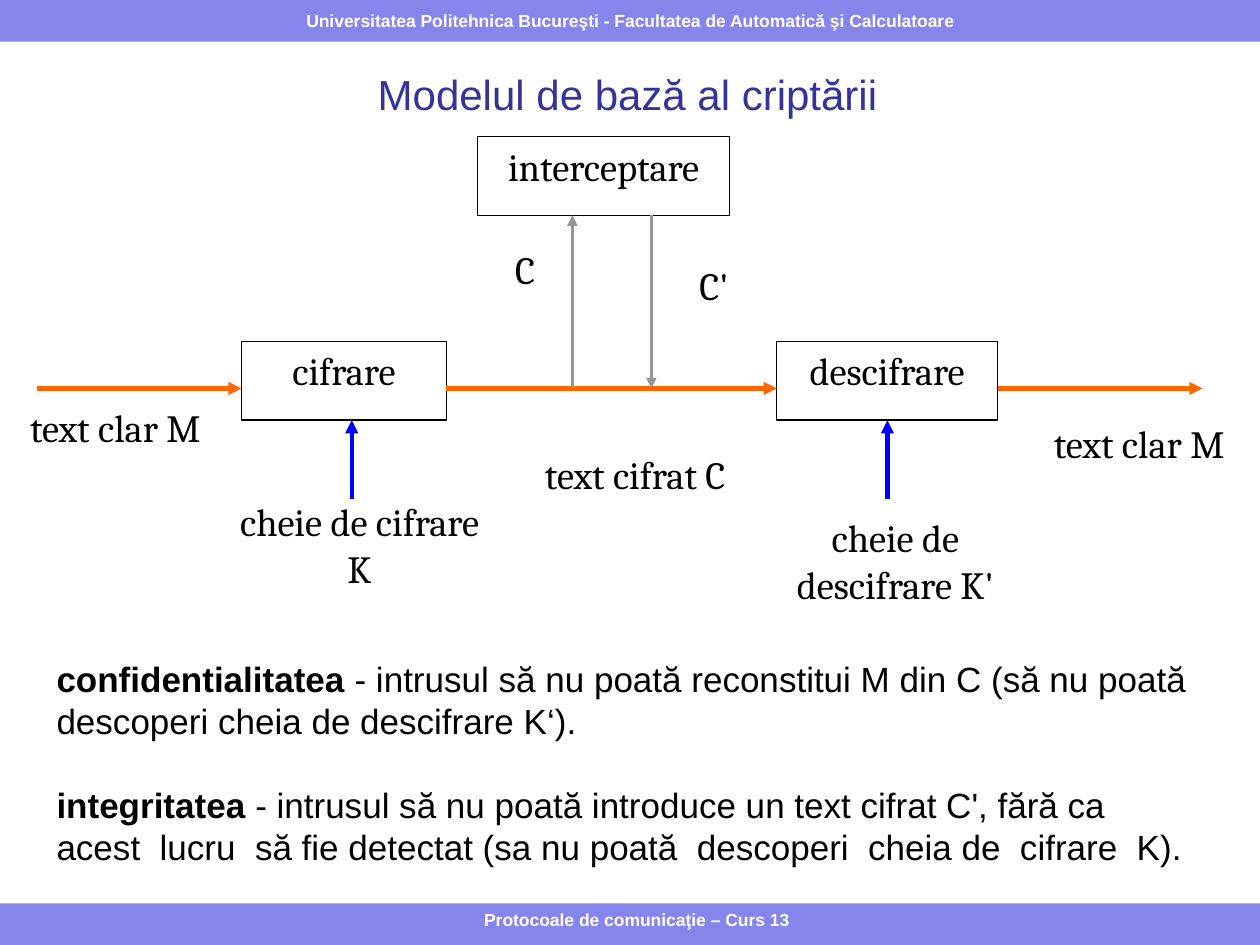
"""Build the slide on the basic model of encryption."""
from typing import NamedTuple

from lxml import etree
from pptx import Presentation
from pptx.dml.color import RGBColor
from pptx.enum.shapes import MSO_CONNECTOR, MSO_SHAPE
from pptx.enum.text import MSO_ANCHOR, PP_ALIGN
from pptx.oxml.ns import qn
from pptx.util import Cm, Pt

RECT = MSO_SHAPE.RECTANGLE
LINE = MSO_CONNECTOR.STRAIGHT
LEFT, CENTER = PP_ALIGN.LEFT, PP_ALIGN.CENTER
TOP, MIDDLE = MSO_ANCHOR.TOP, MSO_ANCHOR.MIDDLE
BLACK, WHITE, BAND = "000000", "FFFFFF", "8585EB"
ORANGE, GREY, BLUE = "FF6600", "969696", "0000FF"
WIDE, HIGH, BAR = 25.4, 19.05, 0.84
FLOW, BASE, KEY = 7.83, 8.47, 10.05


class Box(NamedTuple):
    text: str
    x: float
    y: float
    w: float
    h: float
    edge: str = WHITE
    pad: float = 0


class Arrow(NamedTuple):
    x1: float
    y1: float
    x2: float
    y2: float
    tint: str
    width: float = 2.5


class Style(NamedTuple):
    font: str
    size: float
    tint: str


HEAD = Style("Arial", 24, "333399")
NOTE = Style("Arial", 10, WHITE)
BODY = Style("Arial", 20, BLACK)
NODE = Style("Cambria", 22, BLACK)

BOXES = [
    Box("cifrare", 4.87, 6.88, 4.13, 1.59, BLACK, 0.25),
    Box("descifrare", 15.66, 6.88, 4.45, 1.59, BLACK, 0.25),
    Box("interceptare", 9.63, 2.75, 5.08, 1.59, BLACK, 0.25),
    Box("text cifrat C", 10.9, 9.1, 3.81, 0.95),
    Box("text clar M", 0.42, 8.15, 3.81, 0.95),
    Box("text clar M", 21.06, 8.47, 3.81, 0.95),
    Box("C", 9.95, 4.97, 1.27, 0.95),
    Box("C'", 13.76, 5.29, 1.27, 0.95),
    Box("cheie de cifrare K", 4.55, 10.05, 5.4, 2.22),
    Box("cheie de descifrare K'", 15.35, 10.37, 5.4, 2.22),
]
ARROWS = [
    Arrow(0.74, FLOW, 4.87, FLOW, ORANGE),
    Arrow(9, FLOW, 15.66, FLOW, ORANGE),
    Arrow(20.11, FLOW, 24.24, FLOW, ORANGE),
    Arrow(11.54, FLOW, 11.54, 4.34, GREY, 2),
    Arrow(13.13, 4.34, 13.13, FLOW, GREY, 2),
    Arrow(7.09, KEY, 7.09, BASE, BLUE),
    Arrow(17.89, KEY, 17.89, BASE, BLUE),
]
GOALS = [
    ("confidentialitatea ", "- intrusul să nu poată reconstitui M din C "
     "(să nu poată descoperi cheia de descifrare K‘)."),
    ("integritatea", " - intrusul să nu poată introduce un text cifrat C', "
     "fără ca acest  lucru  să fie detectat "
     "(sa nu poată  descoperi  cheia de  cifrare  K)."),
]


def color(code: str) -> RGBColor:
    """Turn a hex string into a colour."""
    return RGBColor.from_string(code)


def set_frame(frame, anchor, pad: float = 0.25) -> None:
    """Set wrapping, anchor and margins of a text frame."""
    frame.word_wrap = True
    frame.vertical_anchor = anchor
    frame.margin_left = frame.margin_right = Cm(pad)
    frame.margin_top = frame.margin_bottom = Cm(pad / 2)


def add_run(para, text: str, style: Style, bold: bool = False) -> None:
    """Add one styled run to a paragraph."""
    run = para.add_run()
    run.text = text
    font = run.font
    font.name, font.size, font.bold = style.font, Pt(style.size), bold
    font.color.rgb = color(style.tint)


def add_rect(slide, x: float, y: float, w: float, h: float, fill: str, edge: str = ""):
    """Draw a flat rectangle, with an edge if a colour is given."""
    rect = slide.shapes.add_shape(RECT, Cm(x), Cm(y), Cm(w), Cm(h))
    rect.shadow.inherit = False
    rect.fill.solid()
    rect.fill.fore_color.rgb = color(fill)
    if edge:
        rect.line.color.rgb = color(edge)
        rect.line.width = Pt(0.75)
    else:
        rect.line.fill.background()
    return rect


def write(frame, text: str, style: Style, anchor, bold: bool = False, pad: float = 0.25) -> None:
    """Fill a text frame with one centred line."""
    set_frame(frame, anchor, pad)
    para = frame.paragraphs[0]
    para.alignment = CENTER
    add_run(para, text, style, bold)


def add_box(slide, box: Box) -> None:
    """Draw a node or a label of the diagram."""
    rect = add_rect(slide, box.x, box.y, box.w, box.h, WHITE, box.edge)
    write(rect.text_frame, box.text, NODE, TOP, pad=box.pad)


def add_arrow(slide, arrow: Arrow) -> None:
    """Draw a straight line with an arrowhead at its end."""
    ends = [Cm(v) for v in arrow[:4]]
    link = slide.shapes.add_connector(LINE, *ends)
    link.line.color.rgb = color(arrow.tint)
    link.line.width = Pt(arrow.width)
    etree.SubElement(link.line._get_or_add_ln(), qn("a:tailEnd"), type="triangle")
    etree.SubElement(link._element.spPr, qn("a:effectLst"))


def add_text(slide, x: float, y: float, w: float, h: float):
    """Add a text box and return its frame."""
    return slide.shapes.add_textbox(Cm(x), Cm(y), Cm(w), Cm(h)).text_frame


def add_goals(slide) -> None:
    """Write the two goals under the diagram."""
    frame = add_text(slide, 0.89, 13.13, 23.5, 4.52)
    set_frame(frame, TOP)
    for i, (term, rest) in enumerate(GOALS):
        para = frame.add_paragraph() if i else frame.paragraphs[0]
        para.alignment = LEFT
        para.space_before = Pt(24 * i)
        add_run(para, term, BODY, True)
        add_run(para, rest, BODY)


def main() -> None:
    """Build and save the slide."""
    deck = Presentation()
    deck.slide_width, deck.slide_height = Cm(WIDE), Cm(HIGH)
    slide = deck.slides.add_slide(deck.slide_layouts[5])
    add_rect(slide, 0, HIGH - BAR, WIDE, BAR, BAND)
    top = add_rect(slide, 0, 0, WIDE, BAR, BAND)
    write(top.text_frame, "Universitatea Politehnica Bucureşti - "
          "Facultatea de Automatică şi Calculatoare", NOTE, MIDDLE, True)
    title = slide.shapes.title
    title.left, title.top = Cm(1.07), Cm(1.14)
    title.width, title.height = Cm(23.16), Cm(1.5)
    write(title.text_frame, "Modelul de bază al criptării", HEAD, MIDDLE)
    for box in BOXES:
        add_box(slide, box)
    for arrow in ARROWS:
        add_arrow(slide, arrow)
    add_goals(slide)
    foot = add_text(slide, 6.55, 18.21, 12.57, 0.74)
    write(foot, "Protocoale de comunicaţie – Curs 13", NOTE, TOP, True)
    deck.save("out.pptx")


if __name__ == "__main__":
    main()
